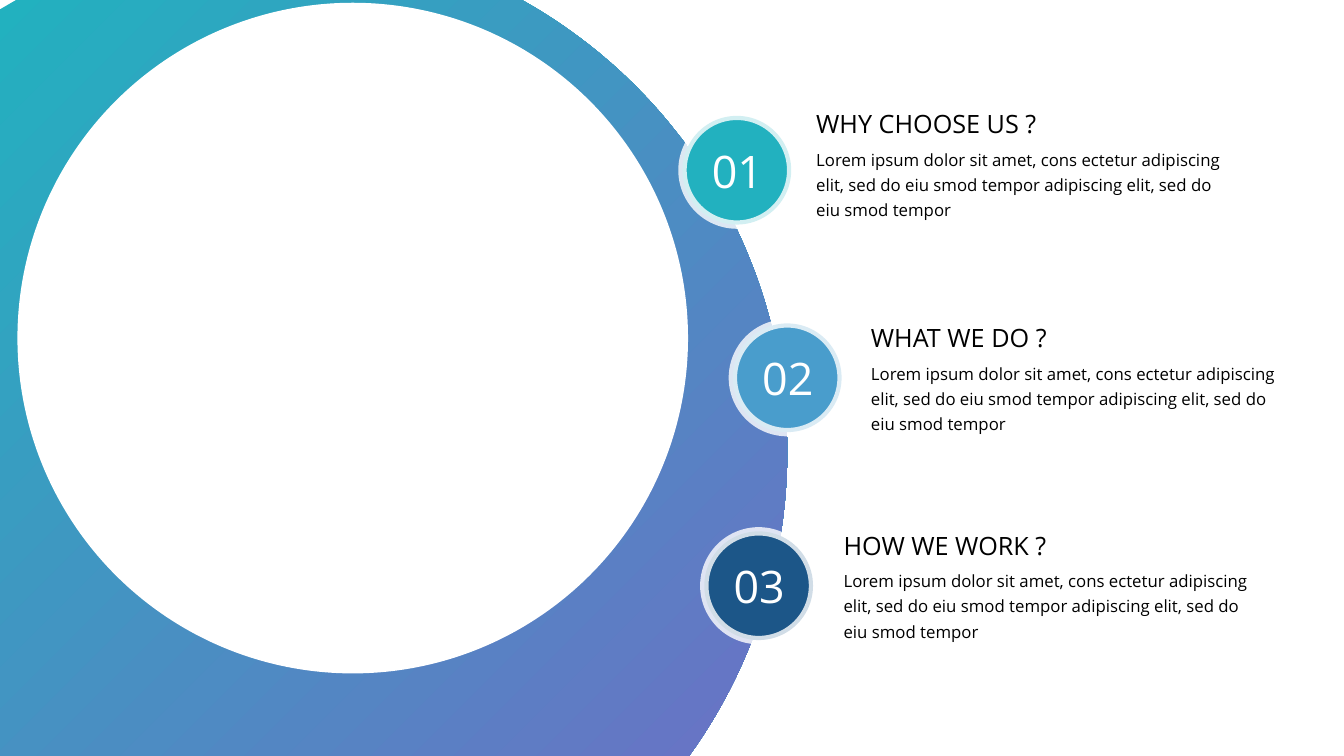
import math

import lxml.etree
import pptx
import pptx.dml.color
import pptx.enum.dml
import pptx.enum.shapes
import pptx.enum.text
import pptx.oxml.ns
import pptx.util

Cm = pptx.util.Cm
Pt = pptx.util.Pt
OVAL = pptx.enum.shapes.MSO_SHAPE.OVAL
PAGE_WIDTH, PAGE_HEIGHT = 33.87, 19.05
BADGE_SIZE = 2.74
FONT = "Open Sans"
BODY = ("Lorem ipsum dolor sit amet, cons ectetur adipiscing elit, sed do eiu smod "
        "tempor adipiscing elit, sed do eiu smod tempor")

# number, badge colour, badge corner, text corner, heading, heading width
TOPICS = [
    ("01", "22B1BF", (17.2, 2.92), (20.57, 2.74), "WHY CHOOSE US ?", 5.69),
    ("02", "499DCC", (18.47, 8.15), (21.95, 8.13), "WHAT WE DO ?", 4.55),
    ("03", "1C5688", (17.75, 13.39), (21.26, 13.36), "HOW WE WORK ?", 5.26),
]


def rgb(value):
    return pptx.dml.color.RGBColor.from_string(value)


def add_disc(shapes, left, top, size, color):
    disc = shapes.add_shape(OVAL, Cm(left), Cm(top), Cm(size), Cm(size))
    disc.shadow.inherit = False
    disc.fill.solid()
    disc.fill.fore_color.rgb = rgb(color)
    disc.line.fill.background()
    return disc


def add_label(shapes, left, top, width, height, text, size, color, wrap=False):
    box = shapes.add_textbox(Cm(left), Cm(top), Cm(width), Cm(height))
    frame = box.text_frame
    frame.margin_left = frame.margin_right = frame.margin_top = frame.margin_bottom = 0
    frame.word_wrap = wrap
    frame.auto_size = pptx.enum.text.MSO_AUTO_SIZE.SHAPE_TO_FIT_TEXT
    frame.text = text
    font = frame.paragraphs[0].runs[0].font
    font.name, font.size, font.color.rgb = FONT, Pt(size), rgb(color)
    return box


def add_backdrop(page, center_x, center_y, radius):
    """Gradient circle cut off by the top, left and bottom page edges."""
    start = math.asin(-center_y / radius)
    end = math.asin((PAGE_HEIGHT - center_y) / radius)
    steps = 120
    angles = [start + (end - start) * step / steps for step in range(steps + 1)]
    arc = [(center_x + radius * math.cos(angle), center_y + radius * math.sin(angle))
           for angle in angles]
    left_edge_y = center_y - math.sqrt(radius ** 2 - center_x ** 2)
    top_edge_x = center_x - math.sqrt(radius ** 2 - center_y ** 2)
    outline = arc + [(0, PAGE_HEIGHT), (0, left_edge_y), (top_edge_x, 0)]
    points = [(Cm(x), Cm(y)) for x, y in outline]

    builder = page.shapes.build_freeform(*points[0])
    builder.add_line_segments(points[1:], close=True)
    backdrop = builder.convert_to_shape()
    backdrop.shadow.inherit = False
    backdrop.line.fill.background()
    backdrop.fill.gradient()
    backdrop.fill.gradient_angle = 315
    for stop, position, color in zip(backdrop.fill.gradient_stops, (0, 1), ("22B1BF", "6B71C5")):
        stop.position = position
        stop.color.rgb = rgb(color)


def add_badge(shapes, left, top, number, color):
    disc = add_disc(shapes, left, top, BADGE_SIZE, color)
    disc.line.width = Pt(6)
    disc.line.color.rgb = rgb("FFFFFF")
    ring_color = disc.line._get_or_add_ln().find(".//" + pptx.oxml.ns.qn("a:srgbClr"))
    lxml.etree.SubElement(ring_color, pptx.oxml.ns.qn("a:alpha"), val="80000")
    label = add_label(shapes, left + 0.74, top + 0.69, 1.3, 1.37, number, 32, "FFFFFF")
    label.name = "Number " + number


def add_topic(page, number, color, badge_corner, text_corner, heading, heading_width):
    shapes = page.shapes.add_group_shape().shapes
    add_badge(shapes, *badge_corner, number, color)
    left, top = text_corner
    add_label(shapes, left, top, heading_width, 0.77, heading, 18, "000000")
    body = add_label(shapes, left, top + 0.9, 10.21, 1.88, BODY, 12, "000000", wrap=True)
    body.text_frame.paragraphs[0].line_spacing = 1.25


def main():
    deck = pptx.Presentation()
    deck.slide_width, deck.slide_height = Cm(PAGE_WIDTH), Cm(PAGE_HEIGHT)
    page = deck.slides.add_slide(deck.slide_layouts[6])
    add_backdrop(page, center_x=6.78, center_y=11.4, radius=13.06)
    add_disc(page.shapes, 0.44, 0.07, 16.9, "FFFFFF")
    for topic in TOPICS:
        add_topic(page, *topic)
    deck.save("out.pptx")


if __name__ == "__main__":
    main()
